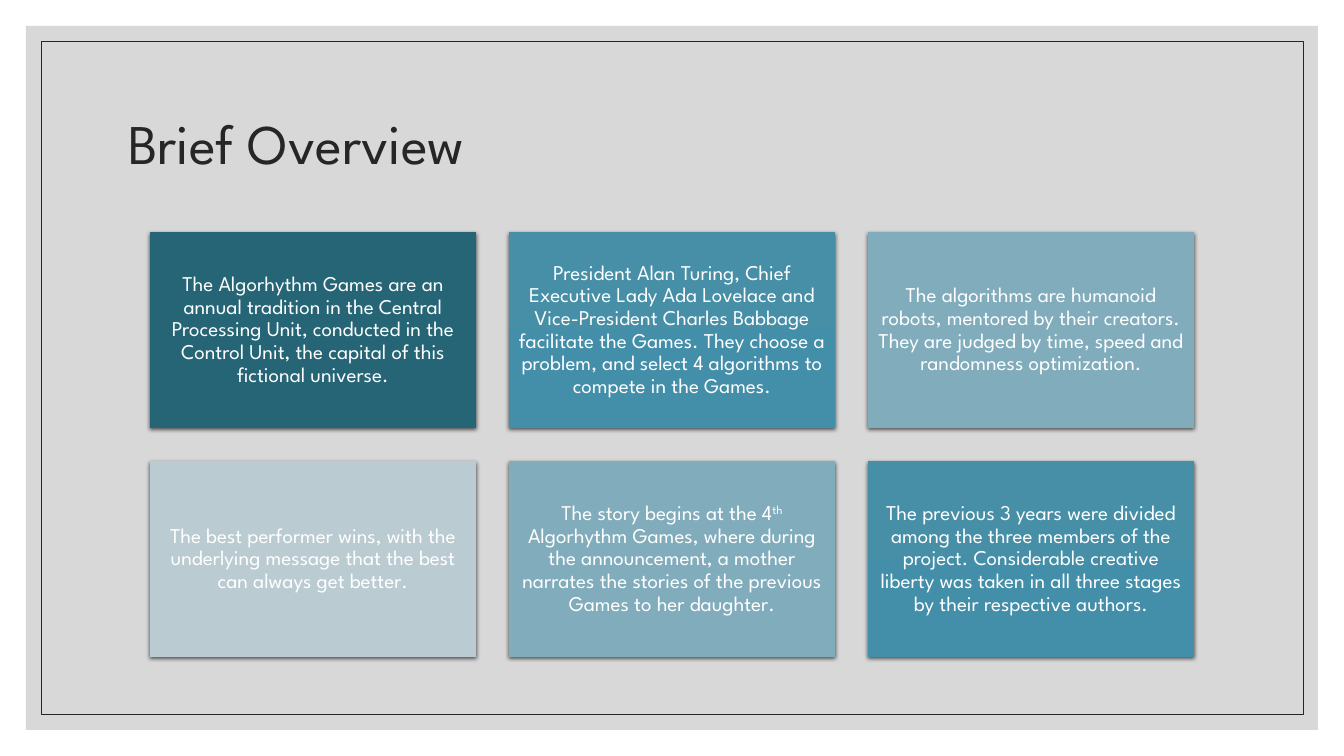
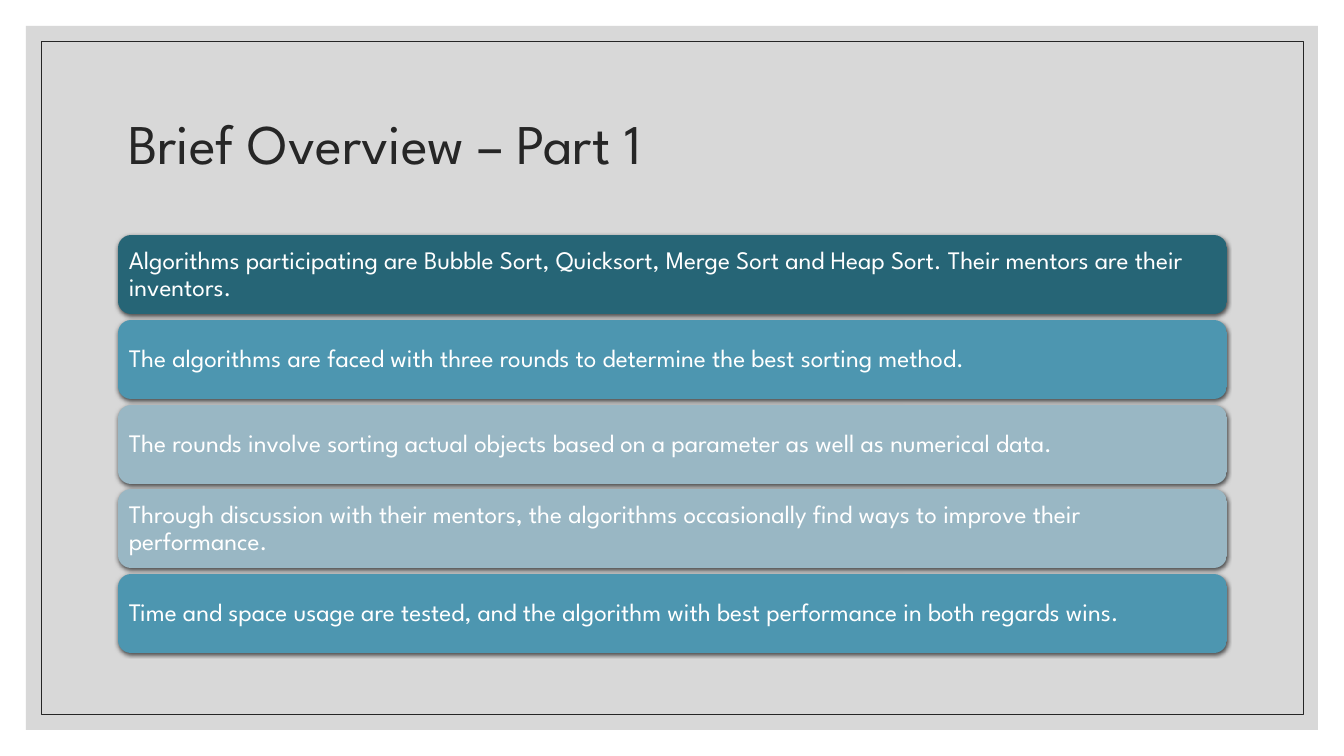
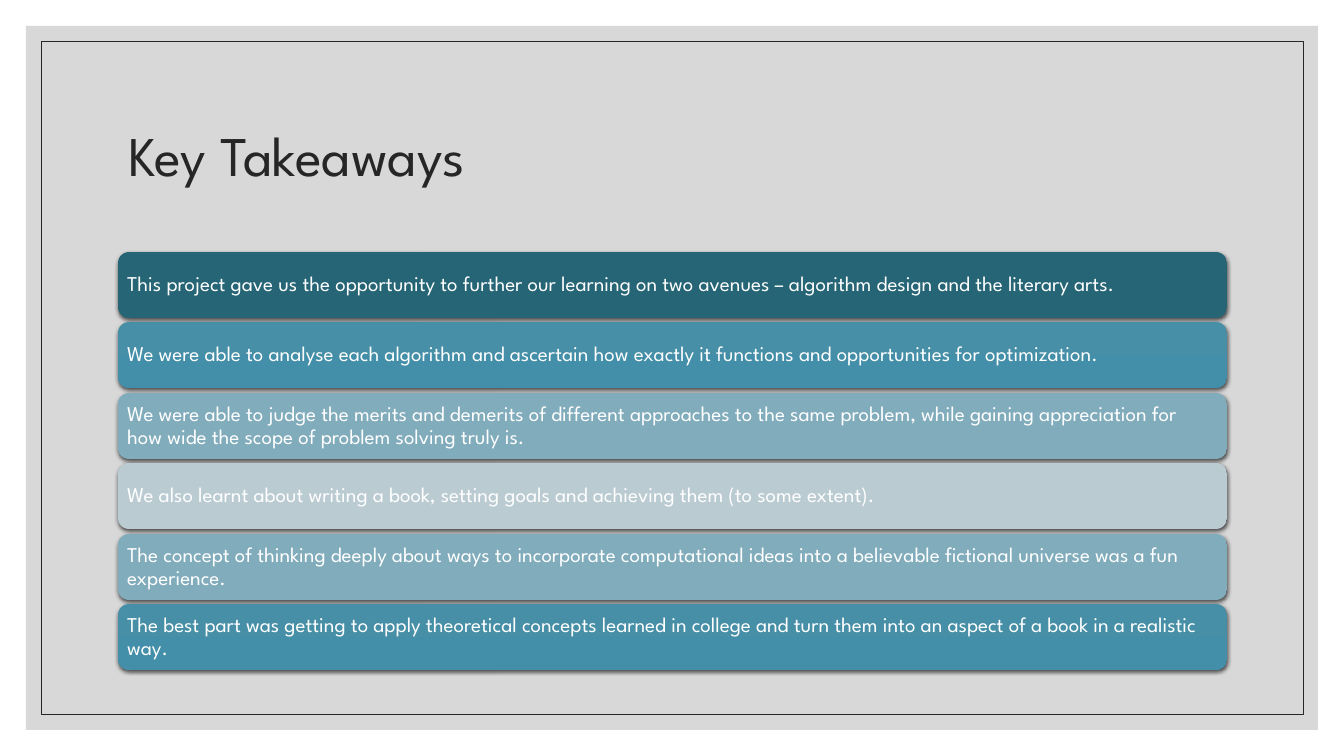
import dataclasses
import typing

import lxml.etree
import pptx
import pptx.dml.color
import pptx.enum.shapes
import pptx.enum.text
import pptx.oxml
import pptx.oxml.ns
import pptx.util

EMU_PER_PX = 914400 / 100.8
FONT = "League Spartan"
INK, WHITE, PANEL = "262626", "FFFFFF", "BFBFBF"
SHAPE = pptx.enum.shapes.MSO_SHAPE
ALIGN = pptx.enum.text.PP_ALIGN


class Gradient(typing.NamedTuple):
    """Top and bottom colour of a card."""
    top: str
    bottom: str


DARK = Gradient("266576", "246577")
TEAL = Gradient("468FA7", "438EA8")
SOFT = Gradient("81ACBC", "7EABBC")
PALE = Gradient("BBCBD2", "B8C9D1")
BRIGHT = Gradient("4D96B0", "4A96B1")
MIST = Gradient("99B7C4", "96B6C4")


class Card(typing.NamedTuple):
    """One filled box; text between carets is superscript."""
    fill: Gradient
    text: str


@dataclasses.dataclass(frozen=True)
class Grid:
    """Evenly spaced cards, from the first position to the last."""
    first: tuple[int, int]
    last: tuple[int, int]
    size: tuple[int, int]
    columns: int
    rows: int
    shape: int
    align: int
    inset: int
    points: int

    def position(self, i: int) -> tuple[int, int]:
        """Return left and top of card i, counted row by row."""
        row, column = divmod(i, self.columns)
        return (spread(self.first[0], self.last[0], column, self.columns),
                spread(self.first[1], self.last[1], row, self.rows))


@dataclasses.dataclass(frozen=True)
class Page:
    """A slide: its title, the top of the title, and its cards."""
    title: str
    title_top: int
    grid: Grid
    cards: list[Card]


TILES = Grid((150, 232), (868, 461), (326, 196), 3, 2, SHAPE.RECTANGLE,
             ALIGN.CENTER, 6, 15)
FIVE_BARS = Grid((118, 235), (118, 574), (1109, 79), 1, 5,
                 SHAPE.ROUNDED_RECTANGLE, ALIGN.LEFT, 7, 18)
SIX_BARS = Grid((118, 252), (118, 604), (1109, 66), 1, 6,
                SHAPE.ROUNDED_RECTANGLE, ALIGN.LEFT, 6, 15)

PAGES = [
    Page("Brief Overview", 71, TILES, [
        Card(DARK, "The Algorhythm Games are an annual tradition in the Central "
             "Processing Unit, conducted in the Control Unit, the capital of this "
             "fictional universe."),
        Card(TEAL, "President Alan Turing, Chief Executive Lady Ada Lovelace and "
             "Vice-President Charles Babbage facilitate the Games. They choose a "
             "problem, and select 4 algorithms to compete in the Games."),
        Card(SOFT, "The algorithms are humanoid robots, mentored by their creators. "
             "They are judged by time, speed and randomness optimization."),
        Card(PALE, "The best performer wins, with the underlying message that the "
             "best can always get better."),
        Card(SOFT, "The story begins at the 4^th^ Algorhythm Games, where during the "
             "announcement, a mother narrates the stories of the previous Games to "
             "her daughter."),
        Card(TEAL, "The previous 3 years were divided among the three members of the "
             "project. Considerable creative liberty was taken in all three stages "
             "by their respective authors."),
    ]),
    Page("Brief Overview – Part 1", 71, FIVE_BARS, [
        Card(DARK, "Algorithms participating are Bubble Sort, Quicksort, Merge Sort "
             "and Heap Sort. Their mentors are their inventors."),
        Card(BRIGHT, "The algorithms are faced with three rounds to determine the "
             "best sorting method."),
        Card(MIST, "The rounds involve sorting actual objects based on a parameter "
             "as well as numerical data."),
        Card(MIST, "Through discussion with their mentors, the algorithms "
             "occasionally find ways to improve their performance."),
        Card(BRIGHT, "Time and space usage are tested, and the algorithm with best "
             "performance in both regards wins."),
    ]),
    Page("Key Takeaways", 83, SIX_BARS, [
        Card(DARK, "This project gave us the opportunity to further our learning on "
             "two avenues – algorithm design and the literary arts."),
        Card(TEAL, "We were able to analyse each algorithm and ascertain how exactly "
             "it functions and opportunities for optimization."),
        Card(SOFT, "We were able to judge the merits and demerits of different "
             "approaches to the same problem, while gaining appreciation for how "
             "wide the scope of problem solving truly is."),
        Card(PALE, "We also learnt about writing a book, setting goals and achieving "
             "them (to some extent)."),
        Card(SOFT, "The concept of thinking deeply about ways to incorporate "
             "computational ideas into a believable fictional universe was a fun "
             "experience."),
        Card(TEAL, "The best part was getting to apply theoretical concepts learned "
             "in college and turn them into an aspect of a book in a realistic way."),
    ]),
]


def px(n: float) -> pptx.util.Emu:
    """Turn pixels into EMU."""
    return pptx.util.Emu(round(n * EMU_PER_PX))


def rgb(value: str) -> pptx.dml.color.RGBColor:
    """Turn a hex string into a colour."""
    return pptx.dml.color.RGBColor.from_string(value)


def spread(first: int, last: int, i: int, count: int) -> int:
    """Return step i of count even steps from first to last."""
    return first + round(i * (last - first) / max(count - 1, 1))


def add_child(parent, tag: str, **attributes: str):
    """Append a drawing element with its attributes."""
    return lxml.etree.SubElement(parent, pptx.oxml.ns.qn(tag), attributes)


def add_box(s, kind: int, left: int, top: int, width: int, height: int):
    """Add a preset shape without shadow."""
    sp = s.shapes.add_shape(kind, px(left), px(top), px(width), px(height))
    sp.shadow.inherit = False
    return sp


def write(tf, text: str, points: int, colour: str, align: int) -> None:
    """Write one vertically centred paragraph, run by run."""
    tf.word_wrap = True
    tf.auto_size = pptx.enum.text.MSO_AUTO_SIZE.NONE
    tf.vertical_anchor = pptx.enum.text.MSO_ANCHOR.MIDDLE
    p = tf.paragraphs[0]
    p.alignment, p.line_spacing = align, 0.9
    for i, part in enumerate(text.split("^")):
        r = p.add_run()
        r.text = part
        r.font.name, r.font.size = FONT, pptx.util.Pt(points)
        r.font.color.rgb = rgb(colour)
        if i % 2:
            r.font._element.set("baseline", "30000")


def add_backdrop(s) -> None:
    """Draw the grey panel and thin frame, and put them on the slide's layout."""
    panel = add_box(s, SHAPE.RECTANGLE, 26, 26, 1292, 704)
    panel.fill.solid()
    panel.fill.fore_color.rgb = rgb(PANEL)
    panel.line.fill.background()
    colour = panel.element.spPr.find(".//" + pptx.oxml.ns.qn("a:srgbClr"))
    add_child(colour, "a:alpha", val="60000")

    frame = add_box(s, SHAPE.RECTANGLE, 41, 41, 1262, 673)
    frame.fill.background()
    frame.line.color.rgb = rgb(INK)
    frame.line.width = pptx.util.Pt(0.5)

    for i, sp in enumerate((panel, frame)):
        sp.element.nvSpPr.cNvPr.id = 100 + i
        s.slide_layout.shapes.element.insert(2 + i, sp.element)


def add_title(s, text: str, top: int) -> None:
    """Place and fill the title placeholder."""
    title = s.shapes.title
    title.left, title.top, title.width, title.height = map(px, (118, top, 1109, 151))
    write(title.text_frame, text, 40, INK, ALIGN.LEFT)


def add_card(s, card: Card, grid: Grid, i: int) -> None:
    """Draw card i of a grid, with gradient, soft shadow and text."""
    sp = add_box(s, grid.shape, *grid.position(i), *grid.size)
    sp.line.fill.background()
    sp.fill.gradient()
    sp.fill.gradient_angle = 270
    for stop, colour in zip(sp.fill.gradient_stops, card.fill):
        stop.color.rgb = rgb(colour)
    effects = sp.element.spPr.find(pptx.oxml.ns.qn("a:effectLst"))
    shadow = add_child(effects, "a:outerShdw", blurRad="38100", dist="12700",
                       dir="5400000", algn="ctr", rotWithShape="0")
    add_child(add_child(shadow, "a:srgbClr", val="000000"), "a:alpha", val="63000")
    tf = sp.text_frame
    tf.margin_left = tf.margin_right = px(grid.inset)
    tf.margin_top = tf.margin_bottom = px(grid.inset)
    write(tf, card.text, grid.points, WHITE, grid.align)


def main() -> None:
    """Build and save the presentation."""
    prs = pptx.Presentation()
    prs.slide_width, prs.slide_height = px(1344), px(756)
    layout = prs.slide_layouts.get_by_name("Title Only")
    for number, page in enumerate(PAGES):
        s = prs.slides.add_slide(layout)
        if number == 0:
            add_backdrop(s)
        add_title(s, page.title, page.title_top)
        for i, card in enumerate(page.cards):
            add_card(s, card, page.grid, i)
    prs.save("out.pptx")


main()
